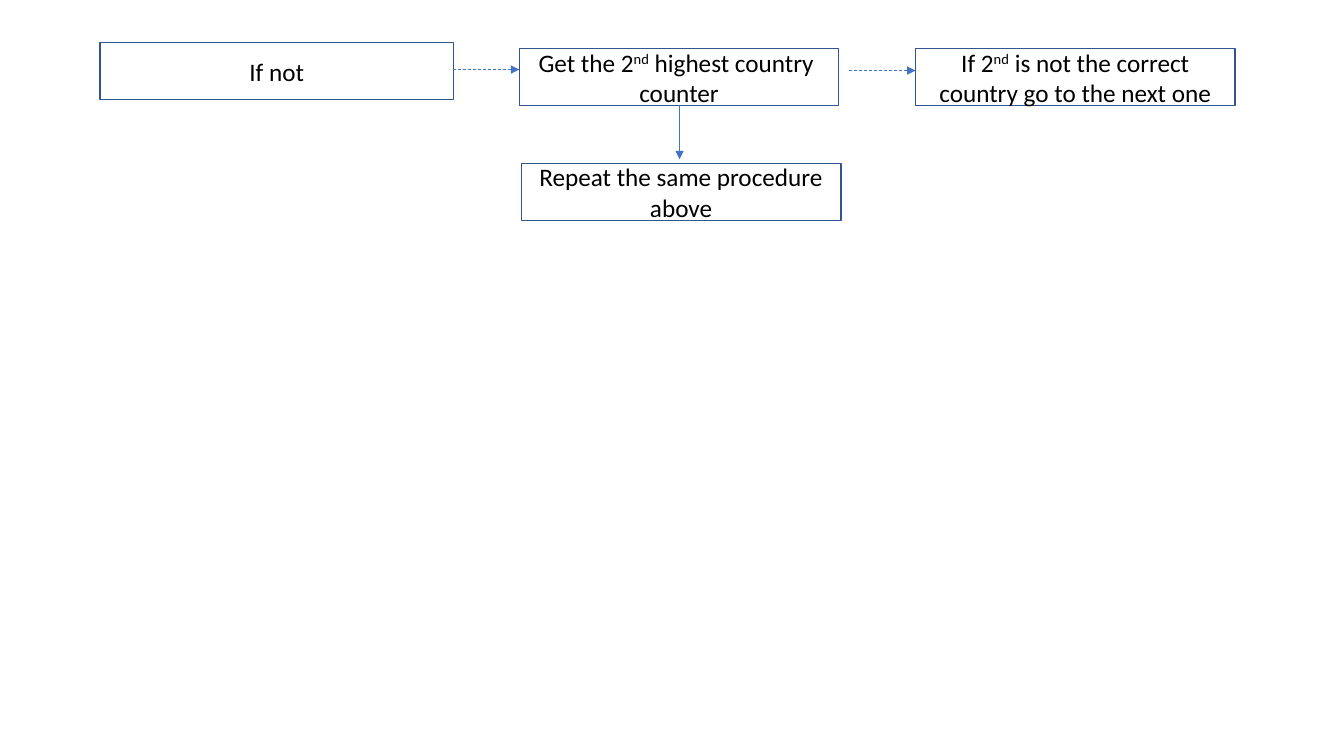
from typing import NamedTuple

from pptx import Presentation
from pptx.dml.color import RGBColor
from pptx.enum.dml import MSO_LINE
from pptx.enum.shapes import MSO_CONNECTOR, MSO_SHAPE
from pptx.enum.text import MSO_ANCHOR, PP_ALIGN
from pptx.oxml.ns import qn
from pptx.slide import Slide
from pptx.util import Inches, Pt
from lxml.etree import SubElement

BOX_HEIGHT = 0.57
STEP_WIDTH = 3.17
ORDINAL = "nd"


class Step(NamedTuple):
    """A flow box; each paragraph is a tuple of text runs."""
    left: float
    top: float
    width: float
    paragraphs: tuple[tuple[str, ...], ...]


class Arrow(NamedTuple):
    """An arrow between two points."""
    start: tuple[float, float]
    end: tuple[float, float]
    dashed: bool


STEPS = [
    Step(0.99, 0.42, 3.51, (("If not",),)),
    Step(5.15, 0.48, STEP_WIDTH,
         (("Get the 2", ORDINAL, " highest country "), ("counter",))),
    Step(5.17, 1.62, STEP_WIDTH, (("Repeat the same procedure above",),)),
    Step(9.08, 0.48, STEP_WIDTH,
         (("If 2", ORDINAL, " is not the correct country go to the next one"),)),
]
ARROWS = [
    Arrow((4.49, 0.69), (5.15, 0.69), True),
    Arrow((8.42, 0.7), (9.08, 0.7), True),
    Arrow((6.74, 1.04), (6.74, 1.58), False),
]


def color(value: str) -> RGBColor:
    """Turn a hex string into a colour."""
    return RGBColor.from_string(value)


def draw_step(page: Slide, step: Step) -> None:
    """Draw an outlined box with centred text."""
    box = page.shapes.add_shape(
        MSO_SHAPE.RECTANGLE, Inches(step.left), Inches(step.top),
        Inches(step.width), Inches(BOX_HEIGHT))
    box.shadow.inherit = False
    box.fill.background()
    box.line.color.rgb = color("325491")
    box.line.width = Pt(1)
    frame = box.text_frame
    frame.word_wrap = True
    frame.vertical_anchor = MSO_ANCHOR.MIDDLE
    for index, texts in enumerate(step.paragraphs):
        para = frame.add_paragraph() if index else frame.paragraphs[0]
        para.alignment = PP_ALIGN.CENTER
        for text in texts:
            span = para.add_run()
            span.text = text
            span.font.name = "Calibri"
            span.font.size = Pt(18)
            span.font.color.rgb = color("000000")
            if text == ORDINAL:
                span.font._element.set("baseline", "30000")


def draw_arrow(page: Slide, arrow: Arrow) -> None:
    """Draw a thin line ending in a triangle."""
    line = page.shapes.add_connector(
        MSO_CONNECTOR.STRAIGHT, *map(Inches, arrow.start + arrow.end))
    line.line.color.rgb = color("4472C4")
    line.line.width = Pt(0.5)
    if arrow.dashed:
        line.line.dash_style = MSO_LINE.DASH
    properties = line._element.spPr
    SubElement(properties.find(qn("a:ln")), qn("a:tailEnd"), type="triangle")
    SubElement(properties, qn("a:effectLst"))


deck = Presentation()
deck.slide_width = Inches(13.33)
deck.slide_height = Inches(7.5)
page = deck.slides.add_slide(deck.slide_layouts[6])
for step in STEPS:
    draw_step(page, step)
for arrow in ARROWS:
    draw_arrow(page, arrow)
deck.save("out.pptx")
